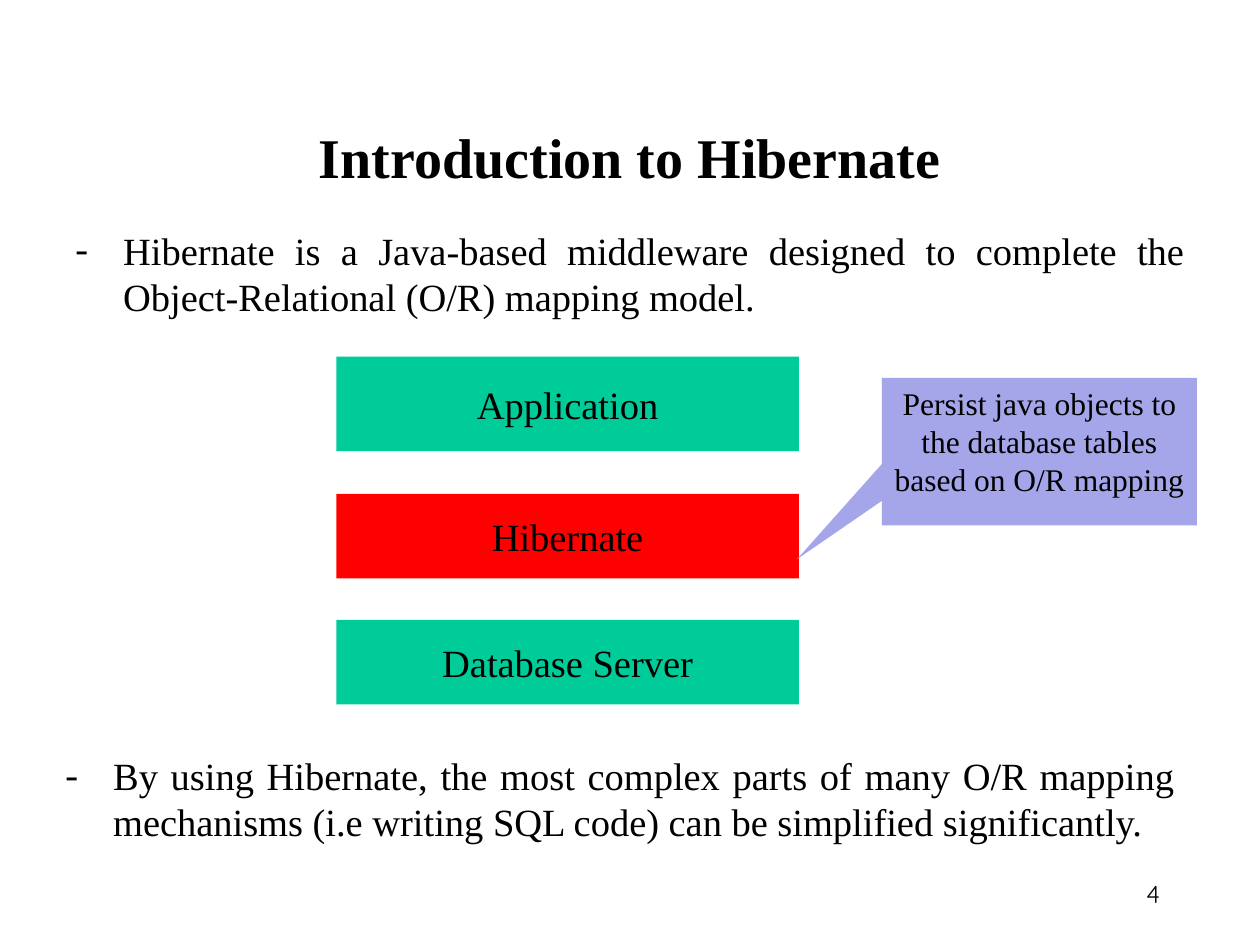
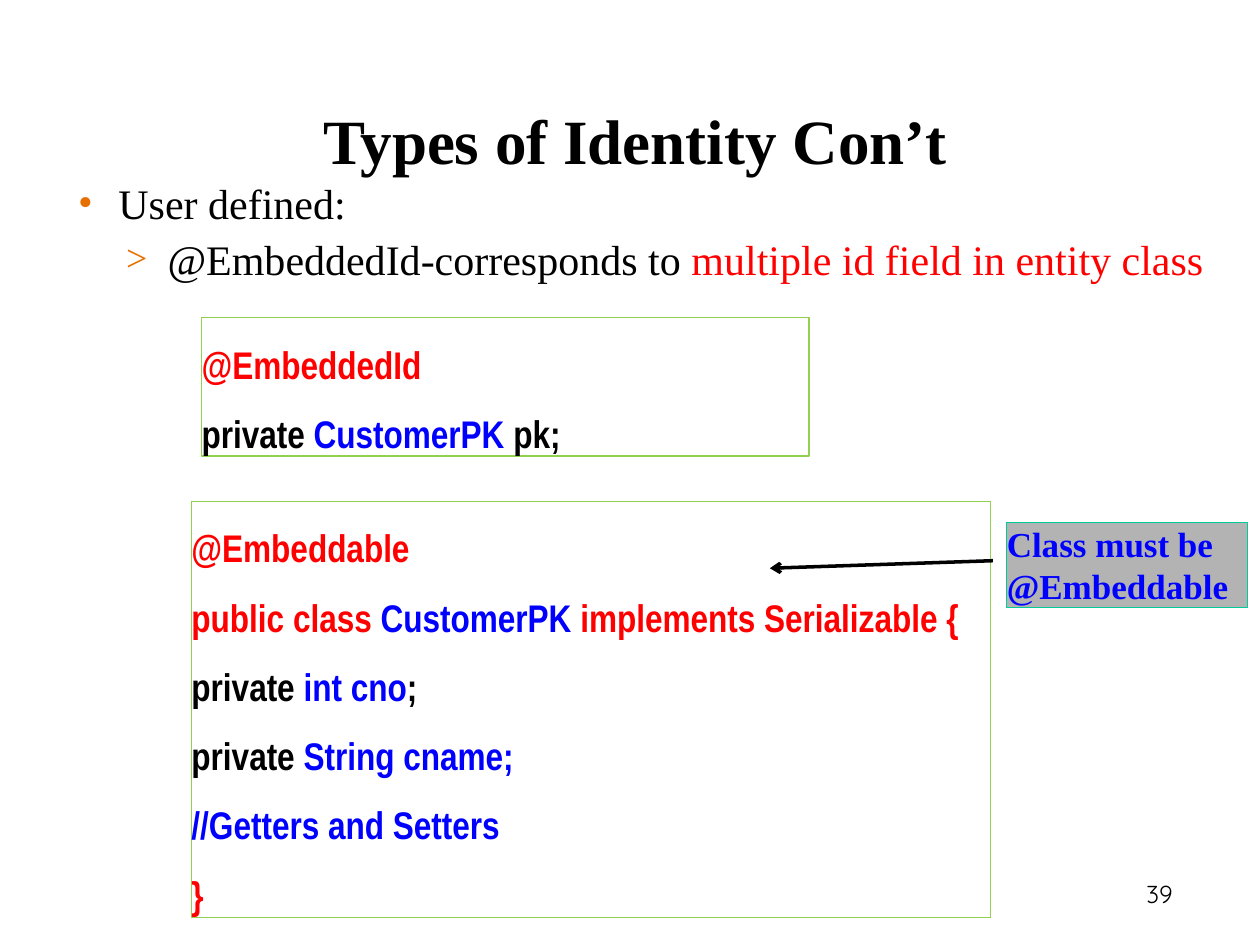
from dataclasses import dataclass
from typing import Optional

from lxml import etree
from pptx import Presentation
from pptx import util as u
from pptx.dml.color import RGBColor
from pptx.enum import shapes, text
from pptx.oxml.ns import qn

COLOURS = {
    "black": "000000", "white": "FFFFFF", "red": "FF0000", "blue": "0000FF",
    "green": "00CC99", "lilac": "A5A5E9", "grey": "B3B3B3",
    "lime": "92D050", "orange": "E76F00",
}
SERIF, CODE, NUMBER = "Times New Roman", "Arial Narrow", "Quicksand"


@dataclass(frozen=True)
class Style:
    size: int
    font: str = SERIF
    bold: bool = False
    align: Optional[text.PP_ALIGN] = None
    spacing: Optional[float] = None
    margins: tuple[float, float] = (0.1, 0.05)
    anchor: text.MSO_ANCHOR = text.MSO_ANCHOR.TOP


@dataclass(frozen=True)
class Bullet:
    char: str
    indent: float
    hanging: float
    before: float
    colour: str = "black"
    level: int = 0
    percent: int = 100


@dataclass(frozen=True)
class Area:
    left: float
    top: float
    width: float
    height: float


@dataclass(frozen=True)
class Span:
    words: str
    colour: str = "black"


@dataclass(frozen=True)
class Panel:
    area: Area
    lines: list[list[Span]]
    style: Style
    fill: str
    line: Optional[str] = None
    kind: shapes.MSO_SHAPE = shapes.MSO_SHAPE.RECTANGLE


CENTER, JUSTIFY = text.PP_ALIGN.CENTER, text.PP_ALIGN.JUSTIFY
BODY = Style(22, align=JUSTIFY)
LAYER = Style(22, align=CENTER, anchor=text.MSO_ANCHOR.MIDDLE)
CALLOUT = Style(18, align=CENTER)
OUTLINE = Style(24, spacing=0.85, margins=(0.09, 0.05))
SOURCE = Style(22, CODE, bold=True, spacing=1.5, margins=(0, 0))
NOTE = Style(20, bold=True, margins=(0, 0))
PAGE_NUMBER = Style(14, NUMBER, spacing=1.5)

DASH = Bullet("-", 0.38, 0.38, 5.5)
DOT = Bullet("•", 0.45, 0.32, 13, "orange")
ANGLE = Bullet(">", 0.84, 0.33, 7.3, "orange", level=1, percent=90)


def rgb(name: str) -> RGBColor:
    return RGBColor.from_string(COLOURS[name])


def place(area: Area) -> list[u.Length]:
    return [u.Inches(n) for n in (area.left, area.top, area.width, area.height)]


def add_bullet(para, bullet: Bullet) -> None:
    para.level = bullet.level
    para.space_before = u.Pt(bullet.before)
    props = para._p.get_or_add_pPr()
    props.set("marL", str(u.Inches(bullet.indent)))
    props.set("indent", str(-u.Inches(bullet.hanging)))
    colour = etree.SubElement(props, qn("a:buClr"))
    etree.SubElement(colour, qn("a:srgbClr"), val=COLOURS[bullet.colour])
    etree.SubElement(props, qn("a:buSzPct"), val=str(bullet.percent * 1000))
    etree.SubElement(props, qn("a:buFont"), typeface=SERIF)
    etree.SubElement(props, qn("a:buChar"), char=bullet.char)


def write(box, lines: list[list[Span]], style: Style,
          bullets: tuple[Bullet, ...] = ()) -> None:
    frame = box.text_frame
    frame.word_wrap = True
    frame.vertical_anchor = style.anchor
    side, edge = (u.Inches(n) for n in style.margins)
    frame.margin_left = frame.margin_right = side
    frame.margin_top = frame.margin_bottom = edge
    for index, spans in enumerate(lines):
        para = frame.add_paragraph() if index else frame.paragraphs[0]
        para.alignment = style.align or text.PP_ALIGN.LEFT
        if style.spacing:
            para.line_spacing = style.spacing
        if bullets:
            add_bullet(para, bullets[index])
        for span in spans:
            run = para.add_run()
            run.text = span.words
            run.font.name = style.font
            run.font.size = u.Pt(style.size)
            run.font.bold = style.bold
            run.font.color.rgb = rgb(span.colour)


def add_text(page, area: Area, lines: list[list[Span]], style: Style,
             bullets: tuple[Bullet, ...] = ()) -> None:
    write(page.shapes.add_textbox(*place(area)), lines, style, bullets)


def add_panel(page, panel: Panel):
    box = page.shapes.add_shape(panel.kind, *place(panel.area))
    box.shadow.inherit = False
    box.fill.solid()
    box.fill.fore_color.rgb = rgb(panel.fill)
    if panel.line:
        box.line.color.rgb = rgb(panel.line)
        box.line.width = u.Pt(0.75)
    else:
        box.line.fill.background()
    write(box, panel.lines, panel.style)
    return box


def add_arrow(page, start: tuple[float, float], end: tuple[float, float]) -> None:
    points = [u.Inches(n) for n in start + end]
    arrow = page.shapes.add_connector(shapes.MSO_CONNECTOR.STRAIGHT, *points)
    arrow.line.color.rgb = rgb("black")
    arrow.line.width = u.Pt(0)
    etree.SubElement(arrow.line._get_or_add_ln(), qn("a:tailEnd"), type="arrow")
    etree.SubElement(arrow._element.spPr, qn("a:effectLst"))


def add_page(deck, title: str, size: int, title_area: Area, number: str):
    page = deck.slides.add_slide(deck.slide_layouts[6])
    page.background.fill.solid()
    page.background.fill.fore_color.rgb = rgb("white")
    add_text(page, Area(9, 6.81, 0.55, 0.61), [[Span(number)]], PAGE_NUMBER)
    add_text(page, title_area, [[Span(title)]], Style(size, bold=True, align=CENTER))
    return page


def build_introduction(deck) -> None:
    page = add_page(deck, "Introduction to Hibernate", 32, Area(0.5, 0.92, 9, 0.63), "4")

    # Statements above and below the diagram
    statements = [
        (Area(0.5, 1.75, 9, 0.92),
         "Hibernate is a Java-based middleware designed to complete the "
         "Object-Relational (O/R) mapping model."),
        (Area(0.42, 5.92, 9, 1.08),
         "By using Hibernate, the most complex parts of many O/R mapping "
         "mechanisms (i.e writing SQL code) can be simplified significantly."),
    ]
    for area, words in statements:
        add_text(page, area, [[Span(words)]], BODY, (DASH,))

    # Layers of the architecture
    layers = [("Application", 2.83, 0.75, "green"), ("Hibernate", 3.92, 0.67, "red"),
              ("Database Server", 4.92, 0.67, "green")]
    for name, top, height, fill in layers:
        add_panel(page, Panel(Area(2.67, top, 3.67, height), [[Span(name)]], LAYER, fill))

    # Callout pointing at the middle layer
    words = "Persist java objects to the database tables based on O/R mapping"
    callout = add_panel(page, Panel(Area(7, 3, 2.5, 1.17), [[Span(words)]], CALLOUT, "lilac",
                                    kind=shapes.MSO_SHAPE.RECTANGULAR_CALLOUT))
    callout.adjustments[0] = -0.77
    callout.adjustments[1] = 0.73


def build_identity(deck) -> None:
    page = add_page(deck, "Types of Identity Con’t", 36, Area(0.5, 0.76, 9.08, 0.69), "39")

    # Outline
    outline = [
        [Span("User defined:")],
        [Span("@EmbeddedId-corresponds to "), Span("multiple id field in entity class", "red")],
    ]
    add_text(page, Area(0.4, 1.42, 9.6, 0.87), outline, OUTLINE, (DOT, ANGLE))

    # Code listings and the note
    key_class = [
        [Span("@Embeddable", "red")],
        [Span("public class ", "red"), Span("CustomerPK", "blue"),
         Span(" implements Serializable {", "red")],
        [Span("private "), Span("int cno", "blue"), Span(";")],
        [Span("private "), Span("String cname;", "blue")],
        [Span("//Getters and Setters", "blue")],
        [Span("}", "red")],
    ]
    key_field = [
        [Span("@EmbeddedId", "red")],
        [Span("private "), Span("CustomerPK", "blue"), Span(" pk;")],
    ]
    note = [[Span("Class must be", "blue")], [Span("@Embeddable", "blue")]]
    panels = [
        Panel(Area(1.52, 3.98, 6.34, 3.3), key_class, SOURCE, "white", "lime"),
        Panel(Area(1.6, 2.52, 4.82, 1.1), key_field, SOURCE, "white", "lime"),
        Panel(Area(7.99, 4.15, 1.91, 0.67), note, NOTE, "grey", "green"),
    ]
    for panel in panels:
        add_panel(page, panel)

    # Arrow from the note into the class
    add_arrow(page, (7.88, 4.45), (6.11, 4.51))


def main() -> None:
    deck = Presentation()
    deck.slide_width, deck.slide_height = u.Inches(10), u.Inches(7.5)
    build_introduction(deck)
    build_identity(deck)
    deck.save("out.pptx")


if __name__ == "__main__":
    main()
